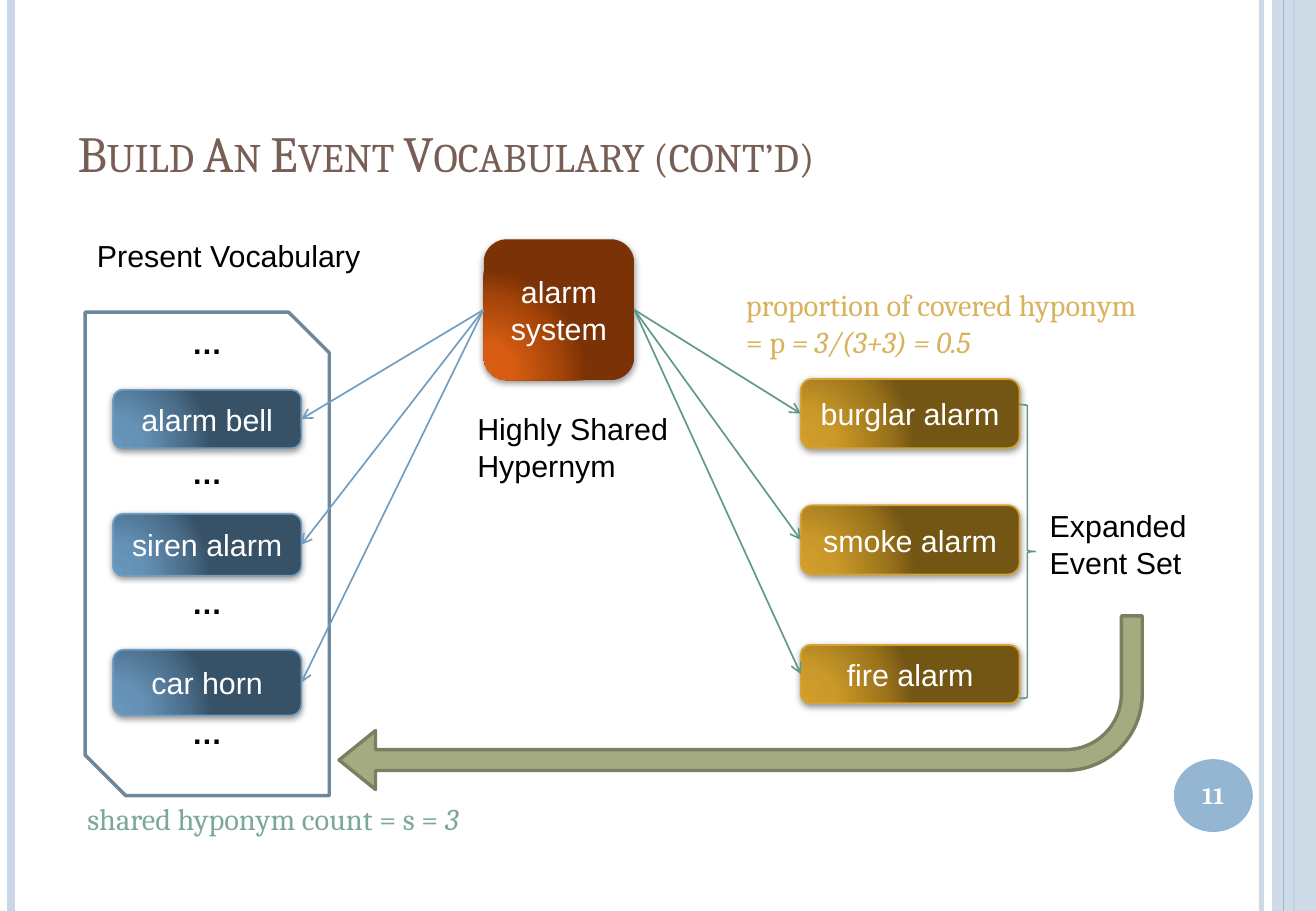
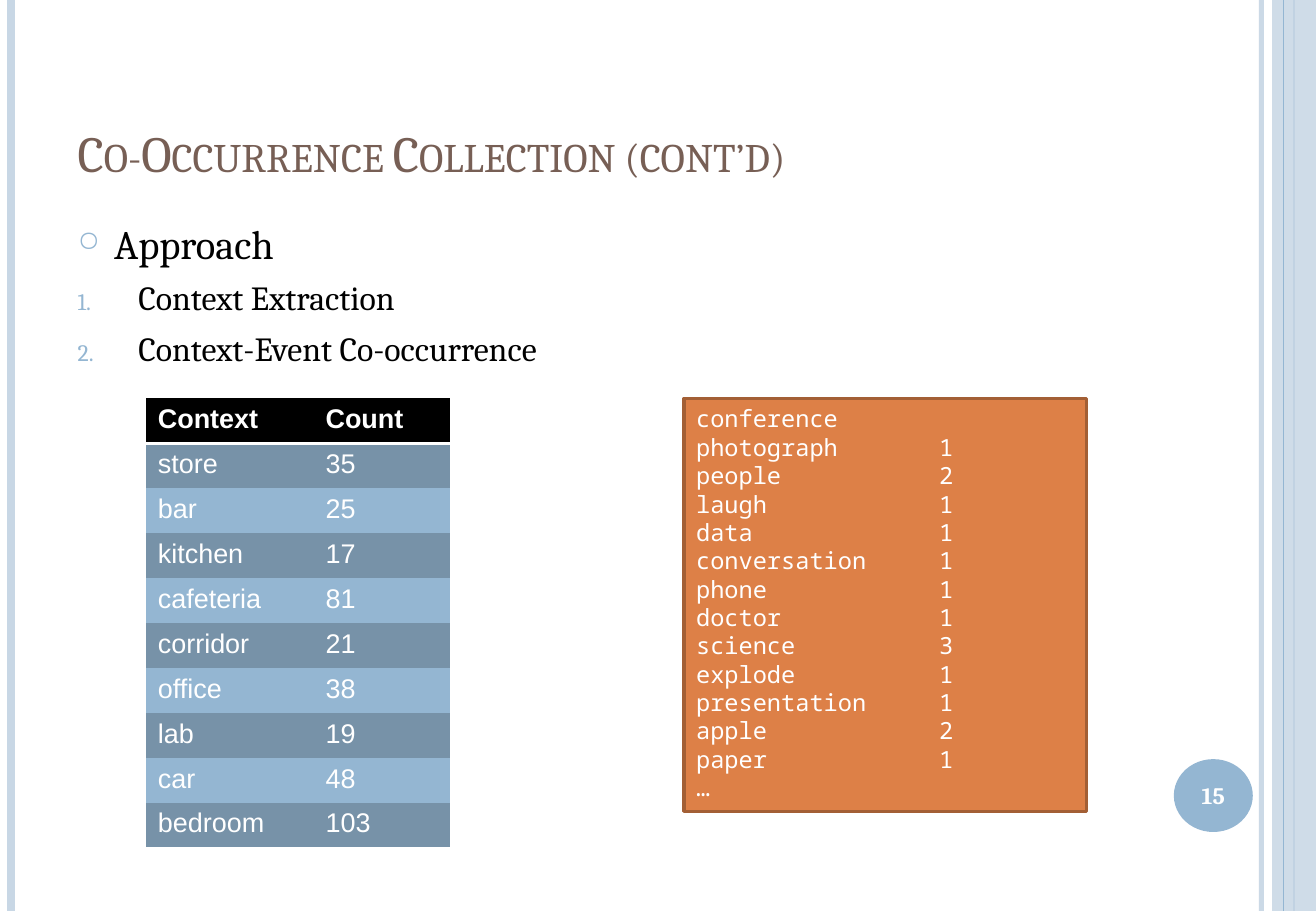
"""Build two slides on event vocabulary and co-occurrence collection."""
from lxml import etree
from pptx import Presentation
from pptx.dml.color import RGBColor
from pptx.enum.shapes import MSO_CONNECTOR, MSO_SHAPE
from pptx.enum.text import MSO_ANCHOR, PP_ALIGN
from pptx.oxml import parse_xml
from pptx.oxml.ns import nsdecls, qn
from pptx.util import Pt

PX = 9144
WIDTH, HEIGHT = 1083, 750
STRAIGHT = MSO_CONNECTOR.STRAIGHT
RECT, ROUNDED, ELLIPSE = MSO_SHAPE.RECTANGLE, MSO_SHAPE.ROUNDED_RECTANGLE, MSO_SHAPE.OVAL
SNIPPED, BRACE = MSO_SHAPE.SNIP_2_DIAG_RECTANGLE, MSO_SHAPE.RIGHT_BRACE
BENT_ARROW = MSO_SHAPE.BENT_ARROW
LEFT, CENTER = PP_ALIGN.LEFT, PP_ALIGN.CENTER
TOP, MIDDLE, BOTTOM = MSO_ANCHOR.TOP, MSO_ANCHOR.MIDDLE, MSO_ANCHOR.BOTTOM
LEFT_SIDE, RIGHT_SIDE = 1, 3
SANS, SERIF, MONO = "Arial", "Cambria", "Noto Sans Mono"
PLAIN_TABLE = "{2D5ABB26-0587-4C30-8999-92F81FD0307C}"
COLORS = {
    "white": "FFFFFF", "black": "000000", "title": "775F55",
    "pale": "C8D7E5", "blue": "94B6D2", "slate": "7792A8",
    "blue_line": "719DC1", "frame": "6D879B", "gold_line": "D4A334",
    "green_line": "60988C", "green": "7BA79D", "gold": "D8B25C",
    "olive": "A5AB81", "olive_line": "7A7F5F",
    "orange": "DD8047", "orange_line": "A35F35",
}
GLOSS = {
    "blue": ("6996BC", "6591B6", "4A6D8A", "375166"),
    "rust": ("DD5F12", "D55C12", "A44409", "7A3206"),
    "gold": ("D29E2A", "CA9929", "9C741B", "735614"),
}
GLOSS_STOPS = (0, 30, 75, 100)


class Deck:
    """Hold the shared style and the slide being built."""

    def __init__(self):
        self.prs = Presentation()
        self.prs.slide_width, self.prs.slide_height = WIDTH * PX, HEIGHT * PX
        self.slide = None

    def rgb(self, color):
        return RGBColor.from_string(COLORS[color])

    def fade(self, item, percent):
        for color in item._element.spPr.iter(qn("a:srgbClr")):
            etree.SubElement(color, qn("a:alpha"), val=str(percent * 1000))

    def add_lines(self, frame, lines, size=18, color="black", font=SANS, bold=False,
                  align=LEFT, anchor=TOP, wrap=True, small_caps=False):
        frame.word_wrap, frame.vertical_anchor = wrap, anchor
        for number, line in enumerate(lines):
            paragraph = frame.paragraphs[0] if number == 0 else frame.add_paragraph()
            paragraph.alignment = align
            runs = (line,) if isinstance(line, str) else line
            for position, text in enumerate(runs):
                run = paragraph.add_run()
                run.text = text
                run.font.name, run.font.size, run.font.bold = font, Pt(size), bold
                run.font.italic = position == 1
                run.font.color.rgb = self.rgb(color)
                if small_caps:
                    run._r.get_or_add_rPr().set("cap", "small")

    def text(self, box, *lines, **style):
        frame = self.slide.shapes.add_textbox(*(v * PX for v in box)).text_frame
        self.add_lines(frame, lines, **style)
        return frame

    def shape(self, kind, box, fill=None, line=None, weight=1):
        shape = self.slide.shapes.add_shape(kind, *(v * PX for v in box))
        shape.shadow.inherit = False
        if fill:
            shape.fill.solid()
            shape.fill.fore_color.rgb = self.rgb(fill)
        else:
            shape.fill.background()
        if line:
            shape.line.color.rgb = self.rgb(line)
            shape.line.width = Pt(weight)
        else:
            shape.line.fill.background()
        return shape

    def glossy(self, box, gloss, label, line=None):
        shape = self.shape(ROUNDED, box, line=line)
        stops = "".join(
            f'<a:gs pos="{stop * 1000}"><a:srgbClr val="{color}"/></a:gs>'
            for stop, color in zip(GLOSS_STOPS, GLOSS[gloss]))
        properties = shape._element.spPr
        properties.replace(properties.find(qn("a:noFill")), parse_xml(
            f'<a:gradFill {nsdecls("a")} rotWithShape="1"><a:gsLst>{stops}</a:gsLst>'
            '<a:path path="circle"><a:fillToRect l="5000" t="100000" r="120000" b="10000"/>'
            '</a:path></a:gradFill>'))
        properties.find(qn("a:effectLst")).append(parse_xml(
            f'<a:outerShdw {nsdecls("a")} blurRad="50800" dist="20320" dir="5400000" '
            'rotWithShape="0"><a:srgbClr val="000000"><a:alpha val="42000"/></a:srgbClr>'
            '</a:outerShdw>'))
        self.add_lines(shape.text_frame, [label], color="white", align=CENTER, anchor=MIDDLE)
        return shape

    def line(self, start, end, color, weight=1):
        ends = (v * PX for v in (*start, *end))
        line = self.slide.shapes.add_connector(STRAIGHT, *ends)
        line.line.color.rgb = self.rgb(color)
        line.line.width = Pt(weight)
        etree.SubElement(line._element.spPr, qn("a:effectLst"))
        return line

    def arrow(self, source, source_side, target, target_side, color):
        arrow = self.line((0, 0), (0, 0), color)
        arrow.begin_connect(source, source_side)
        arrow.end_connect(target, target_side)
        outline = arrow._element.spPr.find(qn("a:ln"))
        etree.SubElement(outline, qn("a:tailEnd"), type="arrow")

    def new_slide(self, title, number):
        self.slide = self.prs.slides.add_slide(self.prs.slide_layouts[6])
        self.fade(self.line((1038, 0), (1038, HEIGHT), "pale", 3), 93)
        self.line((9, 0), (9, HEIGHT), "pale", 4.5)
        self.line((1065, 0), (1065, HEIGHT), "blue", 1.5)
        self.fade(self.shape(RECT, (1047, 0, 36, HEIGHT), "pale"), 87)
        self.line((1056, 0), (1056, HEIGHT), "blue", 0.75)
        badge = self.shape(ELLIPSE, (966, 625, 65, 60), "blue")
        self.add_lines(badge.text_frame, [str(number)], size=14, color="white", font=SERIF,
                       bold=True, align=CENTER, anchor=MIDDLE, wrap=False)
        self.text((54, 30, 885, 125), title, size=30, color="title", font=SERIF,
                  anchor=BOTTOM, small_caps=True)

    def bullet(self, paragraph, indent, tag, **mark):
        properties = paragraph._p.get_or_add_pPr()
        properties.set("marL", str(indent * PX))
        properties.set("indent", str(-indent * PX))
        color = etree.SubElement(properties, qn("a:buClr"))
        etree.SubElement(color, qn("a:srgbClr"), val=COLORS["blue"])
        etree.SubElement(properties, qn("a:buSzPct"), val="70000")
        etree.SubElement(properties, qn(tag), **mark)

    def table(self, left, top, widths, row_height, rows):
        size = (sum(widths), row_height * len(rows))
        table = self.slide.shapes.add_table(
            len(rows), len(widths), *(v * PX for v in (left, top, *size))).table
        table.horz_banding = False
        table._tbl.tblPr.find(qn("a:tableStyleId")).text = PLAIN_TABLE
        for column, width in zip(table.columns, widths):
            column.width = width * PX
        for r, row in enumerate(rows):
            fill = "black" if r == 0 else ("blue", "slate")[r % 2]
            for c, value in enumerate(row):
                cell = table.cell(r, c)
                cell.fill.solid()
                cell.fill.fore_color.rgb = self.rgb(fill)
                self.add_lines(cell.text_frame, [str(value)], size=16, color="white",
                               bold=r == 0)
                if r == 0:
                    cell._tc.get_or_add_tcPr().insert(0, parse_xml(
                        f'<a:lnB {nsdecls("a")} w="25400"><a:solidFill>'
                        f'<a:srgbClr val="{COLORS["white"]}"/></a:solidFill></a:lnB>'))


def build_vocabulary(deck):
    deck.new_slide("Build An Event Vocabulary (cont’d)", 11)
    deck.shape(SNIPPED, (70, 257, 201, 398), line="frame", weight=2)
    hypernym = deck.glossy((398, 197, 124, 116), "rust", "alarm system")
    for label, top, height in (("alarm bell", 321, 48), ("siren alarm", 423, 51),
                               ("car horn", 535, 54)):
        present = deck.glossy((93, top, 155, height), "blue", label, "blue_line")
        deck.arrow(hypernym, LEFT_SIDE, present, RIGHT_SIDE, "blue_line")
    for label, top, height in (("burglar alarm", 312, 57), ("smoke alarm", 416, 57),
                               ("fire alarm", 531, 48)):
        expanded = deck.glossy((659, top, 180, height), "gold", label, "gold_line")
        deck.arrow(hypernym, RIGHT_SIDE, expanded, LEFT_SIDE, "green_line")
    for top in range(262, 600, 107):
        deck.text((148, top, 45, 40), "…", bold=True, wrap=False)
    deck.shape(BRACE, (839, 333, 13, 242), line="green_line")
    feedback = deck.shape(BENT_ARROW, (279, 507, 661, 143), "olive", "olive_line", 2)
    feedback.rotation = 180
    for index, value in enumerate((0.12, 0.17, 0.21, 0.44)):
        feedback.adjustments[index] = value
    deck.text((70, 190, 263, 40), "Present Vocabulary")
    deck.text((383, 333, 180, 71), "Highly Shared Hypernym")
    deck.text((854, 413, 149, 71), "Expanded", "Event Set")
    deck.text((62, 654, 519, 40), ("shared hyponym count = s = ", "3"),
              color="green", font=SERIF)
    deck.text((604, 231, 398, 71), "proportion of covered hyponym",
              ("= p ", "= 3/(3+3) = 0.5"), color="gold", font=SERIF)


def build_collection(deck):
    deck.new_slide("Co-Occurrence Collection (cont’d)", 15)
    outline = deck.text((54, 175, 885, 533), "Approach", "Context Extraction",
                        "Context-Event Co-occurrence", size=20, font=SERIF)
    heading, *steps = outline.paragraphs
    heading.runs[0].font.size = Pt(24)
    deck.bullet(heading, 30, "a:buChar", char="○")
    for step in steps:
        deck.bullet(step, 50, "a:buAutoNum", type="arabicPeriod")
        step.space_before = Pt(6)

    deck.table(120, 328, (138, 112), 37, (
        ("Context", "Count"), ("store", 35), ("bar", 25), ("kitchen", 17),
        ("cafeteria", 81), ("corridor", 21), ("office", 38), ("lab", 19),
        ("car", 48), ("bedroom", 103)))

    counts = (("photograph", 1), ("people", 2), ("laugh", 1), ("data", 1),
              ("conversation", 1), ("phone", 1), ("doctor", 1), ("science", 3),
              ("explode", 1), ("presentation", 1), ("apple", 2), ("paper", 1))
    lines = ["conference", *(f"{word}\t{count}" for word, count in counts), "…"]
    listing = deck.shape(RECT, (563, 328, 331, 340), "orange", "orange_line", 2).text_frame
    deck.add_lines(listing, lines, size=14, color="white", font=MONO)
    for paragraph in listing.paragraphs:
        stops = etree.SubElement(paragraph._p.get_or_add_pPr(), qn("a:tabLst"))
        etree.SubElement(stops, qn("a:tab"), pos=str(200 * PX), algn="l")


def main():
    deck = Deck()
    build_vocabulary(deck)
    build_collection(deck)
    deck.prs.save("out.pptx")


if __name__ == "__main__":
    main()
